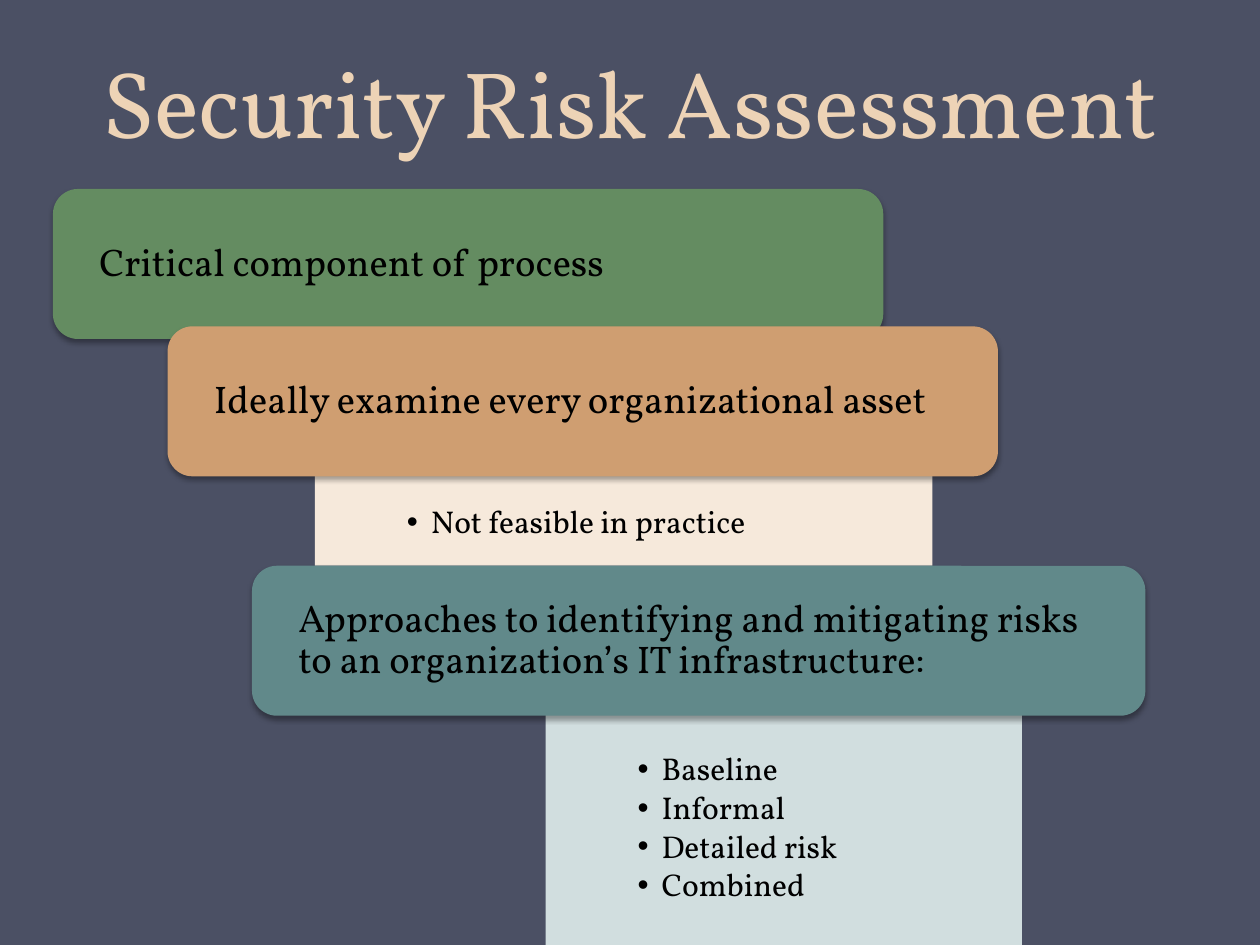
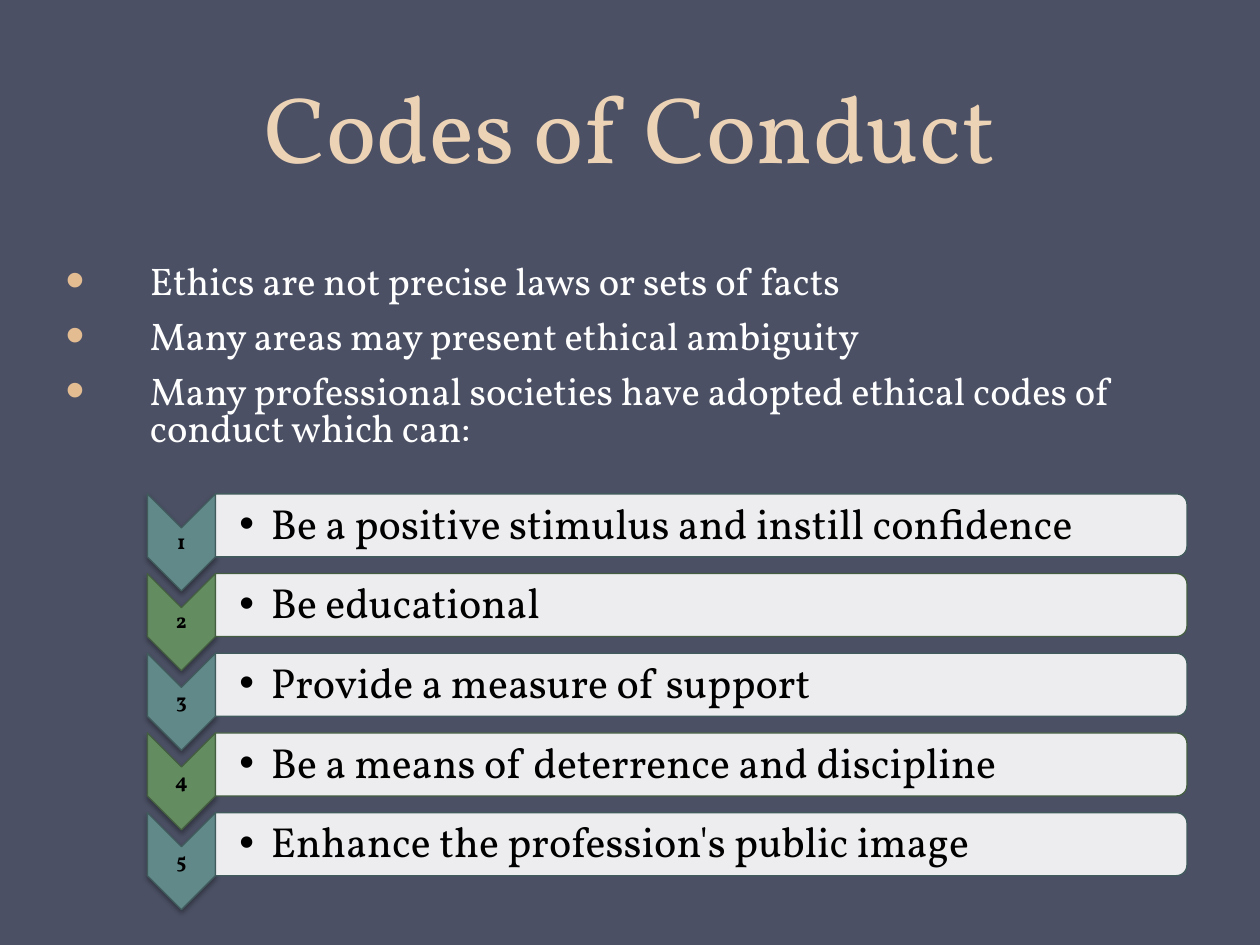
from lxml import etree
from pptx import Presentation
from pptx import util as u
from pptx.dml.color import RGBColor
from pptx.enum import shapes, text
from pptx.oxml import ns

FONT = "Vollkorn"
BACKGROUND, TITLE, BULLET = "4B5064", "EDD3B6", "E3BC92"
BLACK, WHITE = "000000", "FFFFFF"
GREEN, TAN, TEAL = "648C61", "CF9E71", "61898A"
PALE_TAN, PALE_TEAL = "F6E9DB", "D1DEDF"
DARK_GREEN, DARK_TEAL = "435E40", "415B5C"
SHAPE = shapes.MSO_SHAPE
MIDDLE, TOP, BOTTOM = text.MSO_ANCHOR.MIDDLE, text.MSO_ANCHOR.TOP, text.MSO_ANCHOR.BOTTOM


def paint(target, color):
    target.solid()
    target.fore_color.rgb = RGBColor.from_string(color)


def add_child(parent, tag, **attributes):
    return etree.SubElement(parent, ns.qn(tag), {key: str(value) for key, value in attributes.items()})


def place(shape, box):
    shape.left, shape.top, shape.width, shape.height = map(u.Inches, box)


def add_shadow(shape):
    effects = add_child(shape._element.spPr, "a:effectLst")
    shadow = add_child(effects, "a:outerShdw", blurRad=u.Pt(3.1), dist=u.Pt(1.8), dir=5400000, rotWithShape=0)
    color = add_child(shadow, "a:srgbClr", val=BLACK)
    add_child(color, "a:alpha", val=35000)


def add_panel(page, kind, box, fill, line=None, shadow=False, alpha=None, turned=False):
    left, top, width, height = box
    if turned:
        left, top = left + (width - height) / 2, top + (height - width) / 2
        width, height = height, width
    panel = page.shapes.add_shape(kind, *map(u.Inches, (left, top, width, height)))
    panel.rotation = 90 if turned else 0
    paint(panel.fill, fill)
    if alpha:
        add_child(panel._element.spPr.find(".//" + ns.qn("a:srgbClr")), "a:alpha", val=alpha * 1000)
    if line:
        paint(panel.line.fill, line)
        panel.line.width = u.Pt(0.75)
    else:
        panel.line.fill.background()
    if shadow:
        add_shadow(panel)
    else:
        panel.shadow.inherit = False
    return panel


def add_bullet(para, indent, color=None, size=None):
    properties = para._p.get_or_add_pPr()
    properties.set("marL", str(u.Inches(indent)))
    properties.set("indent", str(-u.Inches(indent)))
    if color:
        add_child(add_child(properties, "a:buClr"), "a:srgbClr", val=color)
    if size:
        add_child(properties, "a:buSzPct", val=size * 1000)
    add_child(properties, "a:buFont", typeface="Arial")
    add_child(properties, "a:buChar", char="•")


def write(shape, lines, size, color=BLACK, insets=(0.1, 0.05, 0.1, 0.05), anchor=MIDDLE,
          align=text.PP_ALIGN.LEFT, spacing=0.9, before=0, after=0, bold=False, bullet=None):
    frame = shape.text_frame
    frame.word_wrap = True
    frame.auto_size = text.MSO_AUTO_SIZE.NONE
    frame.vertical_anchor = anchor
    frame.margin_left, frame.margin_top, frame.margin_right, frame.margin_bottom = map(u.Inches, insets)
    for index, line in enumerate(lines):
        para = frame.add_paragraph() if index else frame.paragraphs[0]
        if bullet:
            add_bullet(para, **bullet)
        para.alignment = align
        para.line_spacing = spacing
        para.space_before = u.Pt(before if index else 0)
        para.space_after = u.Pt(after)
        span = para.add_run()
        span.text = line
        span.font.name = FONT
        span.font.size = u.Pt(size)
        span.font.bold = bold
        paint(span.font.fill, color)


def add_title(page, box, title):
    place(page.shapes.title, box)
    write(page.shapes.title, [title], 54, TITLE, anchor=BOTTOM, align=text.PP_ALIGN.CENTER, spacing=u.Pt(58))


def add_card(page, box, fill, line):
    card = add_panel(page, SHAPE.ROUNDED_RECTANGLE, box, fill, shadow=True)
    write(card, [line], 22, insets=(0.31, 0.05, 0.31, 0.05))


def add_details(page, box, fill, lines):
    details = add_panel(page, SHAPE.RECTANGLE, box, fill)
    write(details, lines, 18, insets=(0.73, 0.84, 0.73, 0.14), anchor=TOP, after=2.7, bullet={"indent": 0.19})


def add_step(page, box, number, line, fill, outline):
    left, top, width, height = box
    arrow_width = 0.54
    add_panel(page, SHAPE.CHEVRON, (left, top, arrow_width, 0.77), fill, outline, shadow=True, turned=True)
    label = page.shapes.add_textbox(*map(u.Inches, (left, top + 0.27, arrow_width, 0.23)))
    write(label, [str(number)], 12, insets=(0.01,) * 4, align=text.PP_ALIGN.CENTER, bold=True)
    bar = (left + arrow_width, top, width - arrow_width, height)
    add_panel(page, SHAPE.ROUND_2_SAME_RECTANGLE, bar, WHITE, outline, alpha=90, turned=True)
    caption = page.shapes.add_textbox(*map(u.Inches, bar))
    write(caption, [line], 24, insets=(0.19, 0.02, 0.02, 0.02), bullet={"indent": 0.25})


def add_steps(page, box, lines):
    left, top, width, height = box
    bar_height = 0.5
    pitch = (height - bar_height) / (len(lines) - 1)
    colors = [(TEAL, DARK_TEAL), (GREEN, DARK_GREEN)]
    for index, line in enumerate(lines):
        add_step(page, (left, top + index * pitch, width, bar_height), index + 1, line, *colors[index % 2])


def build_assessment(deck):
    page = deck.slides.add_slide(deck.slide_layouts[5])
    add_title(page, (0.5, -0.25, 9, 1.55), "Security Risk Assessment")
    add_card(page, (0.42, 1.5, 6.59, 1.19), GREEN, "Critical component of process")
    add_details(page, (2.5, 3.18, 4.9, 1.31), PALE_TAN, ["Not feasible in practice"])
    add_card(page, (1.33, 2.59, 6.59, 1.19), TAN, "Ideally examine every organizational asset")
    add_details(page, (4.33, 5.14, 3.78, 2.36), PALE_TEAL, ["Baseline", "Informal", "Detailed risk", "Combined"])
    add_card(page, (2, 4.49, 7.09, 1.19), TEAL,
             "Approaches to identifying and mitigating risks to an organization’s IT infrastructure:")


def build_conduct(deck):
    page = deck.slides.add_slide(deck.slide_layouts[1])
    add_title(page, (0.5, 0.25, 9, 1.25), "Codes of Conduct")
    body = page.placeholders[1]
    place(body, (0.42, 2, 9, 1.83))
    write(body, [
        "Ethics are not precise laws or sets of facts",
        "Many areas may present ethical ambiguity",
        "Many professional societies have adopted ethical codes of conduct which can:",
    ], 22, WHITE, insets=(0.1, 0.11, 0.1, 0.05), anchor=TOP, spacing=0.8, before=4.4, after=6,
        bullet={"indent": 0.67, "color": BULLET, "size": 140})
    add_steps(page, (1.17, 3.92, 8.25, 3.03), [
        "Be a positive stimulus and instill confidence",
        "Be educational",
        "Provide a measure of support",
        "Be a means of deterrence and discipline",
        "Enhance the profession's public image",
    ])


def main():
    deck = Presentation()
    deck.slide_width, deck.slide_height = u.Inches(10), u.Inches(7.5)
    paint(deck.slide_master.background.fill, BACKGROUND)
    build_assessment(deck)
    build_conduct(deck)
    deck.save("out.pptx")


if __name__ == "__main__":
    main()
